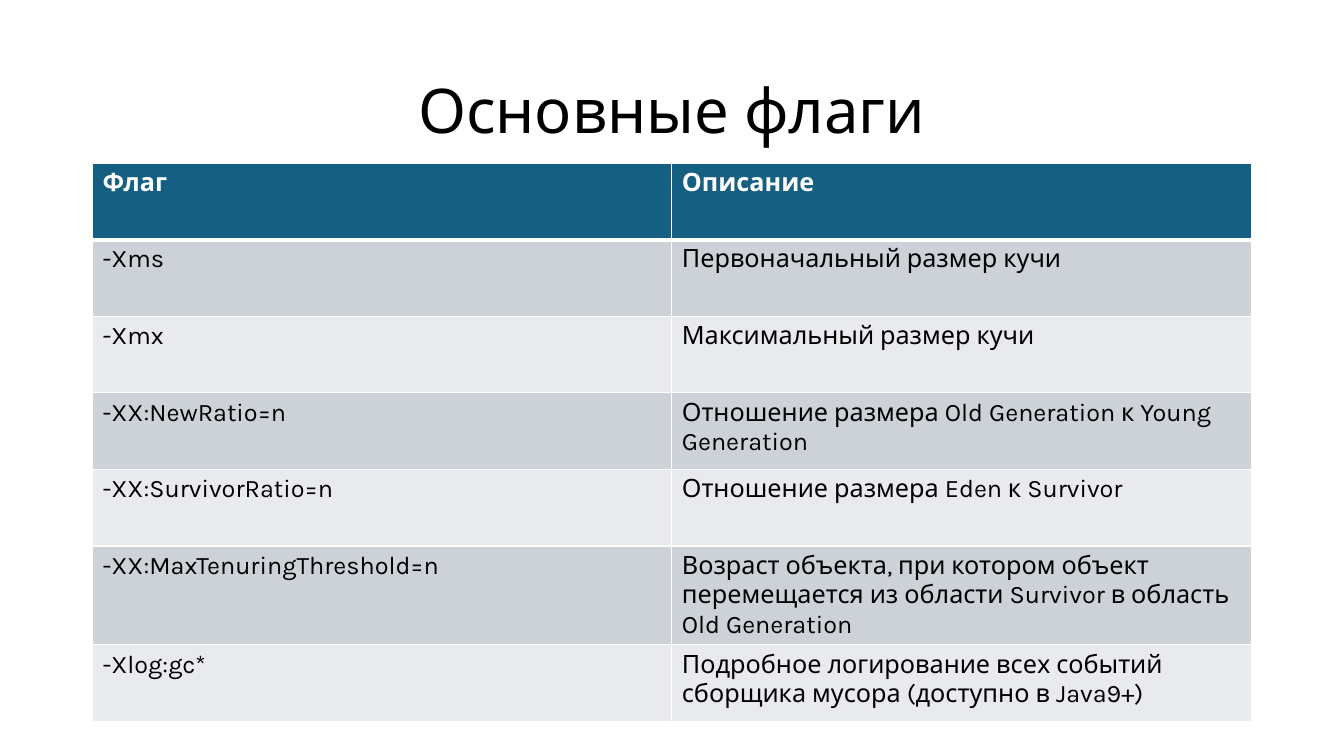
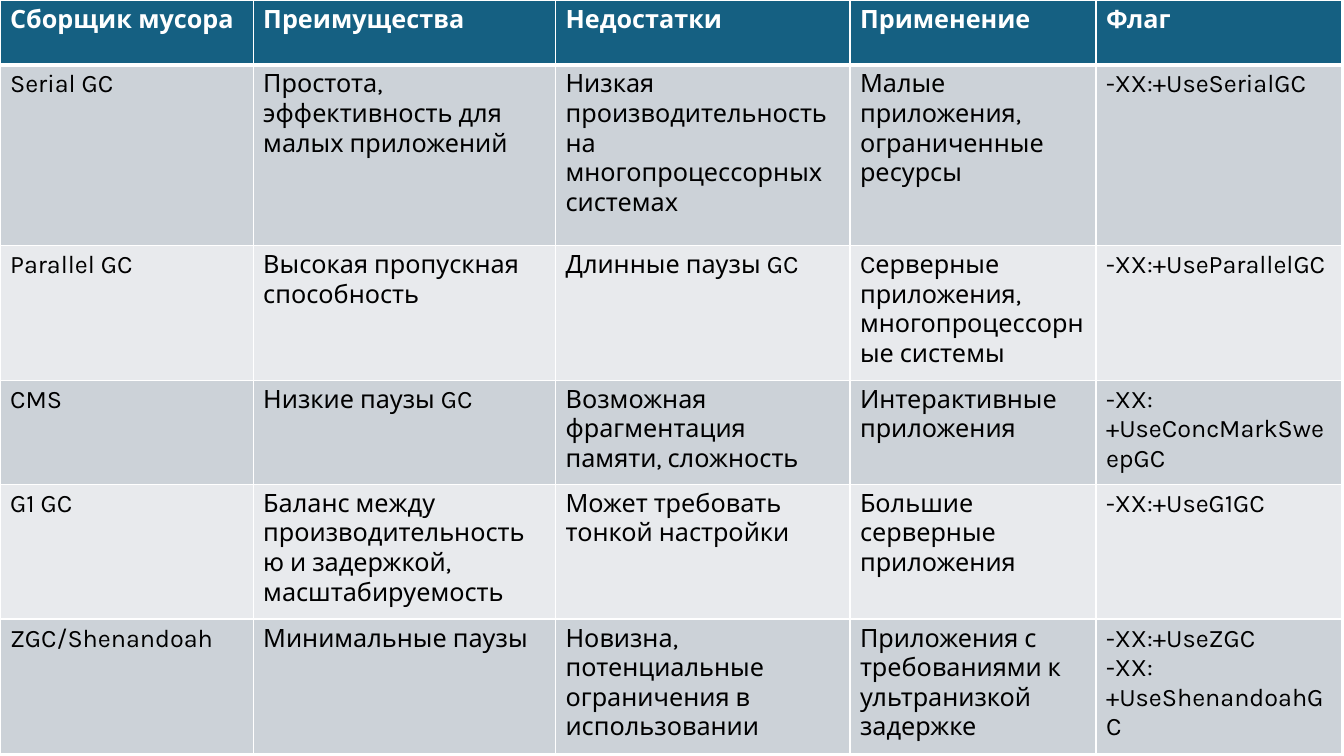
"""Build two slides on JVM garbage collection: memory flags and collector comparison."""
from dataclasses import dataclass

import lxml.etree
import pptx
import pptx.dml.color
import pptx.enum.text
import pptx.oxml.ns
import pptx.presentation
import pptx.slide
import pptx.table
import pptx.text.text
import pptx.util
from pptx.util import Cm

COLORS = {
    "header": "156082",
    "odd_row": "CCD2D8",
    "even_row": "E8EAED",
    "grid": "FFFFFF",
    "header_text": "FFFFFF",
    "text": "000000",
}
FONT = "Karla"
TITLE_SIZE = 44
CELL_SIZE = 18
GRID_WIDTH = 1
HEADER_RULE_WIDTH = 3
TITLE_ONLY_LAYOUT = 5
BLANK_LAYOUT = 6


@dataclass(frozen=True)
class Grid:
    left: float
    top: float
    column_widths: list[float]
    row_heights: list[float]
    rows: list[list[str]]


FLAGS = Grid(
    left=2.33,
    top=4.11,
    column_widths=[14.6] * 2,
    row_heights=[1.93] * 7,
    rows=[
        ["Флаг", "Описание"],
        ["-Xms", "Первоначальный размер кучи"],
        ["-Xmx", "Максимальный размер кучи"],
        ["-XX:NewRatio=n", "Отношение размера Old Generation к Young Generation"],
        ["-XX:SurvivorRatio=n", "Отношение размера Eden к Survivor"],
        [
            "-XX:MaxTenuringThreshold=n",
            "Возраст объекта, при котором объект перемещается "
            "из области Survivor в область Old Generation",
        ],
        ["-Xlog:gc*", "Подробное логирование всех событий сборщика мусора (доступно в Java9+)"],
    ],
)

COLLECTORS = Grid(
    left=0,
    top=0,
    column_widths=[6.38, 7.62, 7.42, 6.2, 6.2],
    row_heights=[1.63, 4.55, 3.4, 2.62, 3.4, 3.4],
    rows=[
        ["Сборщик мусора", "Преимущества", "Недостатки", "Применение", "Флаг"],
        [
            "Serial GC",
            "Простота, эффективность для малых приложений",
            "Низкая производительность на многопроцессорных системах",
            "Малые приложения, ограниченные ресурсы",
            "-XX:+UseSerialGC",
        ],
        [
            "Parallel GC",
            "Высокая пропускная способность",
            "Длинные паузы GC",
            "Cерверные приложения, многопроцессорные системы",
            "-XX:+UseParallelGC",
        ],
        [
            "CMS",
            "Низкие паузы GC",
            "Возможная фрагментация памяти, сложность",
            "Интерактивные приложения",
            "-XX:+UseConcMarkSweepGC",
        ],
        [
            "G1 GC",
            "Баланс между производительностью и задержкой, масштабируемость",
            "Может требовать тонкой настройки",
            "Большие серверные приложения",
            "-XX:+UseG1GC",
        ],
        [
            "ZGC/Shenandoah",
            "Минимальные паузы",
            "Новизна, потенциальные ограничения в использовании",
            "Приложения с требованиями к ультранизкой задержке",
            "-XX:+UseZGC\n-XX:+UseShenandoahGC",
        ],
    ],
)


def rgb(name: str) -> pptx.dml.color.RGBColor:
    return pptx.dml.color.RGBColor.from_string(COLORS[name])


def add_run(
    paragraph: pptx.text.text._Paragraph, text: str, size: int, color: str, bold: bool = False
) -> None:
    run = paragraph.add_run()
    run.text = text
    run.font.name = FONT
    run.font.size = pptx.util.Pt(size)
    run.font.bold = bold
    run.font.color.rgb = rgb(color)


def set_borders(cell: pptx.table._Cell, row: int) -> None:
    qn = pptx.oxml.ns.qn
    properties = cell._tc.get_or_add_tcPr()
    for side in "LRTB":
        on_header_rule = (row, side) in ((0, "B"), (1, "T"))
        width = HEADER_RULE_WIDTH if on_header_rule else GRID_WIDTH
        line = lxml.etree.SubElement(
            properties, qn(f"a:ln{side}"), w=str(pptx.util.Pt(width))
        )
        fill = lxml.etree.SubElement(line, qn("a:solidFill"))
        lxml.etree.SubElement(fill, qn("a:srgbClr"), val=COLORS["grid"])


def format_cell(cell: pptx.table._Cell, text: str, row: int) -> None:
    is_header = row == 0
    set_borders(cell, row)
    cell.fill.solid()
    cell.fill.fore_color.rgb = rgb(
        "header" if is_header else "odd_row" if row % 2 else "even_row"
    )
    for index, line in enumerate(text.split("\n")):
        frame = cell.text_frame
        paragraph = frame.add_paragraph() if index else frame.paragraphs[0]
        add_run(paragraph, line, CELL_SIZE, "header_text" if is_header else "text", is_header)


def add_grid(slide: pptx.slide.Slide, grid: Grid) -> None:
    table = slide.shapes.add_table(
        len(grid.row_heights),
        len(grid.column_widths),
        Cm(grid.left),
        Cm(grid.top),
        Cm(sum(grid.column_widths)),
        Cm(sum(grid.row_heights)),
    ).table
    for column, width in zip(table.columns, grid.column_widths):
        column.width = Cm(width)
    for row, height in zip(table.rows, grid.row_heights):
        row.height = Cm(height)
    for row_index, texts in enumerate(grid.rows):
        for column_index, text in enumerate(texts):
            format_cell(table.cell(row_index, column_index), text, row_index)


def set_title(slide: pptx.slide.Slide, text: str) -> None:
    title = slide.shapes.title
    title.left, title.top, title.width, title.height = Cm(2.33), Cm(1.02), Cm(29.21), Cm(3.68)
    title.text_frame.vertical_anchor = pptx.enum.text.MSO_ANCHOR.MIDDLE
    paragraph = title.text_frame.paragraphs[0]
    paragraph.alignment = pptx.enum.text.PP_ALIGN.CENTER
    paragraph.line_spacing = 0.9
    add_run(paragraph, text, TITLE_SIZE, "text")


def add_flags_slide(deck: pptx.presentation.Presentation) -> None:
    slide = deck.slides.add_slide(deck.slide_layouts[TITLE_ONLY_LAYOUT])
    set_title(slide, "Основные флаги")
    add_grid(slide, FLAGS)


def add_collectors_slide(deck: pptx.presentation.Presentation) -> None:
    slide = deck.slides.add_slide(deck.slide_layouts[BLANK_LAYOUT])
    add_grid(slide, COLLECTORS)


def main() -> None:
    deck = pptx.Presentation()
    deck.slide_width, deck.slide_height = Cm(33.87), Cm(19.05)
    add_flags_slide(deck)
    add_collectors_slide(deck)
    deck.save("out.pptx")


if __name__ == "__main__":
    main()
